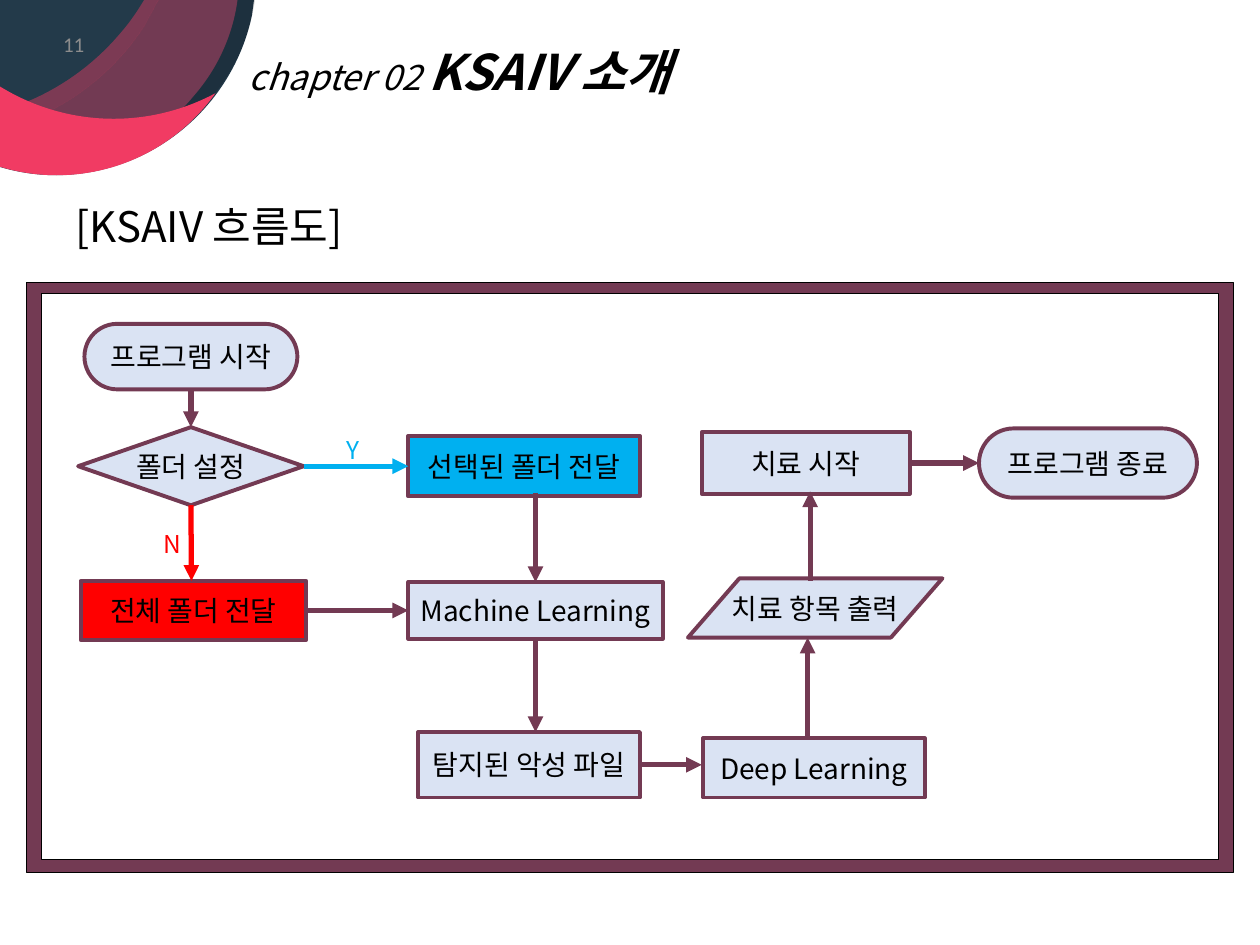
from lxml import etree
from pptx import Presentation
from pptx.dml.color import RGBColor
from pptx.enum.shapes import MSO_CONNECTOR, MSO_SHAPE
from pptx.enum.text import MSO_ANCHOR, MSO_AUTO_SIZE, PP_ALIGN
from pptx.oxml.ns import qn
from pptx.util import Inches, Pt

RECTANGLE = MSO_SHAPE.RECTANGLE
ROUNDED = MSO_SHAPE.ROUNDED_RECTANGLE
DIAMOND = MSO_SHAPE.DIAMOND
PARALLELOGRAM = MSO_SHAPE.PARALLELOGRAM
STRAIGHT = MSO_CONNECTOR.STRAIGHT
LEFT, CENTER = PP_ALIGN.LEFT, PP_ALIGN.CENTER
TOP, MIDDLE = MSO_ANCHOR.TOP, MSO_ANCHOR.MIDDLE
TOP_SIDE, LEFT_SIDE, BOTTOM_SIDE, RIGHT_SIDE = range(4)

FONT = "Noto Sans CJK KR"
PLUM, PINK, NAVY, PALE = "733A53", "F13B63", "233A4A", "DAE3F3"
BLUE, RED, BLACK, WHITE = "00B0F0", "FF0000", "000000", "FFFFFF"

color = RGBColor.from_string


def write_text(paragraph, text, size=16, hex_color=BLACK, font=FONT, align=CENTER, bold=False, italic=False):
    paragraph.alignment = align
    run = paragraph.add_run()
    run.text = text
    run.font.size = Pt(size)
    run.font.bold = bold
    run.font.italic = italic
    run.font.color.rgb = color(hex_color)
    run.font.name = font
    etree.SubElement(run.font._element, qn("a:ea"), typeface=font)


def paint(shape, fill, line=None, width=0.33, alpha=100):
    shape.shadow.inherit = False
    shape.fill.solid()
    shape.fill.fore_color.rgb = color(fill)
    if alpha < 100:
        fill_color = shape.element.spPr.find(f"{qn('a:solidFill')}/{qn('a:srgbClr')}")
        etree.SubElement(fill_color, qn("a:alpha"), val=str(alpha * 1000))
    if line:
        shape.line.color.rgb = color(line)
        shape.line.width = Pt(width)
    else:
        shape.line.fill.background()


presentation = Presentation()
presentation.slide_width = Inches(10)
presentation.slide_height = Inches(7.5)
slide = presentation.slides.add_slide(presentation.slide_layouts[5])
shapes = slide.shapes

disc = [(-0.51, -0.03), (2.02, -0.03), (2, 0.12), (1.85, 0.84, 1.21, 1.39, 0.44, 1.39),
        (0.11, 1.39, -0.21, 1.28, -0.46, 1.1), (-0.51, 1.07)]
wide_band = [(1.28, -0.04), (1.89, -0.04), (1.86, 0.25, 1.74, 0.53, 1.54, 0.76),
             (1.22, 1.15, 0.74, 1.34, 0.27, 1.31), (0.24, 1.31),
             (0.04, 1.27, -0.15, 1.2, -0.33, 1.09), (0.27, 1.04, 0.82, 0.71, 1.15, 0.2),
             (1.18, 0.14, 1.21, 0.09, 1.24, 0.03)]
outer_edge = [(1.89, -0.04), (2.03, -0.04), (2, 0.19, 1.93, 0.41, 1.8, 0.61),
              (1.47, 1.13, 0.88, 1.38, 0.31, 1.32), (0.27, 1.31),
              (0.74, 1.34, 1.22, 1.15, 1.54, 0.76), (1.74, 0.53, 1.86, 0.25, 1.89, -0.04)]
inner_band = [(1.28, -0.04), (1.24, 0.03), (1.21, 0.09, 1.18, 0.14, 1.15, 0.2),
              (0.82, 0.71, 0.27, 1.04, -0.33, 1.09), (-0.15, 1.2, 0.04, 1.27, 0.24, 1.31),
              (0.27, 1.31), (0.2, 1.3), (-0.02, 1.28, -0.24, 1.21, -0.44, 1.09), (-0.51, 1.04),
              (-0.51, 0.95), (-0.4, 0.95), (0.12, 0.92, 0.61, 0.67, 0.95, 0.27),
              (1.03, 0.18, 1.09, 0.09, 1.15, -0.01), (1.16, -0.04)]
crescent = [(-0.5, 0.22), (-0.48, 0.26), (-0.38, 0.4, -0.25, 0.52, -0.1, 0.62),
            (0.43, 1, 1.13, 1.05, 1.71, 0.74), (1.21, 1.44, 0.25, 1.6, -0.45, 1.1), (-0.5, 1.06)]

for outline, fill, alpha in [(disc, NAVY, 100), (wide_band, PINK, 39), (outer_edge, BLACK, 16),
                             (inner_band, PINK, 25), (crescent, PINK, 100), (inner_band, PINK, 25)]:
    corners = [(Inches(segment[i]), Inches(segment[i + 1]))
               for segment in outline for i in range(0, len(segment), 2)]
    builder = shapes.build_freeform(*corners[0])
    builder.add_line_segments(corners[1:], close=True)
    swoosh = builder.convert_to_shape()
    line_parts = swoosh.element.spPr.iter(qn("a:lnTo"))
    line_parts = iter(list(line_parts))
    for segment in outline[1:]:
        part = next(line_parts)
        if len(segment) == 6:
            part.tag = qn("a:cubicBezTo")
            for _ in range(2):
                extra = next(line_parts)
                part.append(extra[0])
                extra.getparent().remove(extra)
    paint(swoosh, fill, alpha=alpha)

title = shapes.title
title.left, title.top, title.width, title.height = Inches(1.87), Inches(0.33), Inches(7.62), Inches(0.64)
title.text_frame.auto_size = MSO_AUTO_SIZE.NONE
title.text_frame.vertical_anchor = TOP
heading = title.text_frame.paragraphs[0]
heading.line_spacing = 0.9
write_text(heading, "chapter 02 ", size=20, align=LEFT, italic=True)
write_text(heading, "KSAIV 소개", size=28, align=LEFT, bold=True, italic=True)

for left, top, width, height, fill in [(0.21, 2.24, 9.58, 4.68, PLUM), (0.33, 2.33, 9.34, 4.49, WHITE)]:
    frame = shapes.add_shape(RECTANGLE, Inches(left), Inches(top), Inches(width), Inches(height))
    paint(frame, fill, BLACK)

steps = {}
for name, text, preset, left, top, width, height, fill in [
    ("start", "프로그램 시작", ROUNDED, 0.67, 2.57, 1.69, 0.52, PALE),
    ("choice", "폴더 설정", DIAMOND, 0.62, 3.39, 1.79, 0.62, PALE),
    ("selected", "선택된 폴더 전달", RECTANGLE, 3.24, 3.46, 1.84, 0.48, BLUE),
    ("all", "전체 폴더 전달", RECTANGLE, 0.64, 4.61, 1.79, 0.47, RED),
    ("machine", "Machine Learning", RECTANGLE, 3.24, 4.62, 2.02, 0.45, PALE),
    ("detected", "탐지된 악성 파일", RECTANGLE, 3.32, 5.81, 1.76, 0.52, PALE),
    ("deep", "Deep Learning", RECTANGLE, 5.58, 5.86, 1.76, 0.47, PALE),
    ("items", "치료 항목 출력", PARALLELOGRAM, 5.46, 4.59, 2.02, 0.47, PALE),
    ("treatment", "치료 시작", RECTANGLE, 5.57, 3.43, 1.65, 0.49, PALE),
    ("end", "프로그램 종료", ROUNDED, 7.77, 3.4, 1.73, 0.55, PALE),
]:
    step = shapes.add_shape(preset, Inches(left), Inches(top), Inches(width), Inches(height))
    if preset == ROUNDED:
        step.adjustments[0] = 0.5
    elif preset == PARALLELOGRAM:
        step.adjustments[0] = 0.87
    paint(step, fill, PLUM, 2.25)
    text_frame = step.text_frame
    text_frame.word_wrap = False
    text_frame.vertical_anchor = MIDDLE
    text_frame.margin_left = text_frame.margin_right = Inches(0.07)
    text_frame.margin_top = text_frame.margin_bottom = Inches(0.04)
    write_text(text_frame.paragraphs[0], text)
    steps[name] = step

for x1, y1, x2, y2, line, source, target in [
    (1.51, 3.09, 1.51, 3.39, PLUM, ("start", BOTTOM_SIDE), ("choice", TOP_SIDE)),
    (2.41, 3.7, 3.24, 3.7, BLUE, ("choice", RIGHT_SIDE), ("selected", LEFT_SIDE)),
    (1.52, 4.01, 1.52, 4.61, RED, ("choice", BOTTOM_SIDE), None),
    (2.43, 4.85, 3.24, 4.85, PLUM, ("all", RIGHT_SIDE), ("machine", LEFT_SIDE)),
    (4.25, 3.91, 4.25, 4.62, PLUM, None, ("machine", TOP_SIDE)),
    (4.25, 5.07, 4.25, 5.81, PLUM, ("machine", BOTTOM_SIDE), None),
    (5.08, 6.07, 5.57, 6.07, PLUM, ("detected", RIGHT_SIDE), None),
    (6.41, 5.86, 6.41, 5.06, PLUM, None, None),
    (6.43, 4.61, 6.43, 3.9, PLUM, None, None),
    (7.22, 3.68, 7.77, 3.68, PLUM, ("treatment", RIGHT_SIDE), ("end", LEFT_SIDE)),
]:
    arrow = shapes.add_connector(STRAIGHT, Inches(x1), Inches(y1), Inches(x2), Inches(y2))
    if source:
        arrow.begin_connect(steps[source[0]], source[1])
    if target:
        arrow.end_connect(steps[target[0]], target[1])
    arrow.line.color.rgb = color(line)
    arrow.line.width = Pt(3)
    properties = arrow.element.spPr
    etree.SubElement(properties.find(qn("a:ln")), qn("a:tailEnd"), type="triangle")
    etree.SubElement(properties, qn("a:effectLst"))

for text, left, top, width, height, anchor, style in [
    ("N", 1.2, 4.15, 0.26, 0.34, TOP, dict(size=14, hex_color=RED, align=LEFT)),
    ("Y", 2.65, 3.4, 0.42, 0.34, TOP, dict(size=14, hex_color=BLUE, align=LEFT)),
    ("[KSAIV 흐름도]", 0.5, 1.54, 8.76, 0.5, TOP, dict(size=24, align=LEFT)),
    ("11", -0.13, 0.15, 1.43, 0.4, MIDDLE, dict(size=12, hex_color="8C8C8C", font="Calibri")),
]:
    label = shapes.add_textbox(Inches(left), Inches(top), Inches(width), Inches(height))
    label.text_frame.word_wrap = True
    label.text_frame.vertical_anchor = anchor
    write_text(label.text_frame.paragraphs[0], text, **style)

presentation.save("out.pptx")
